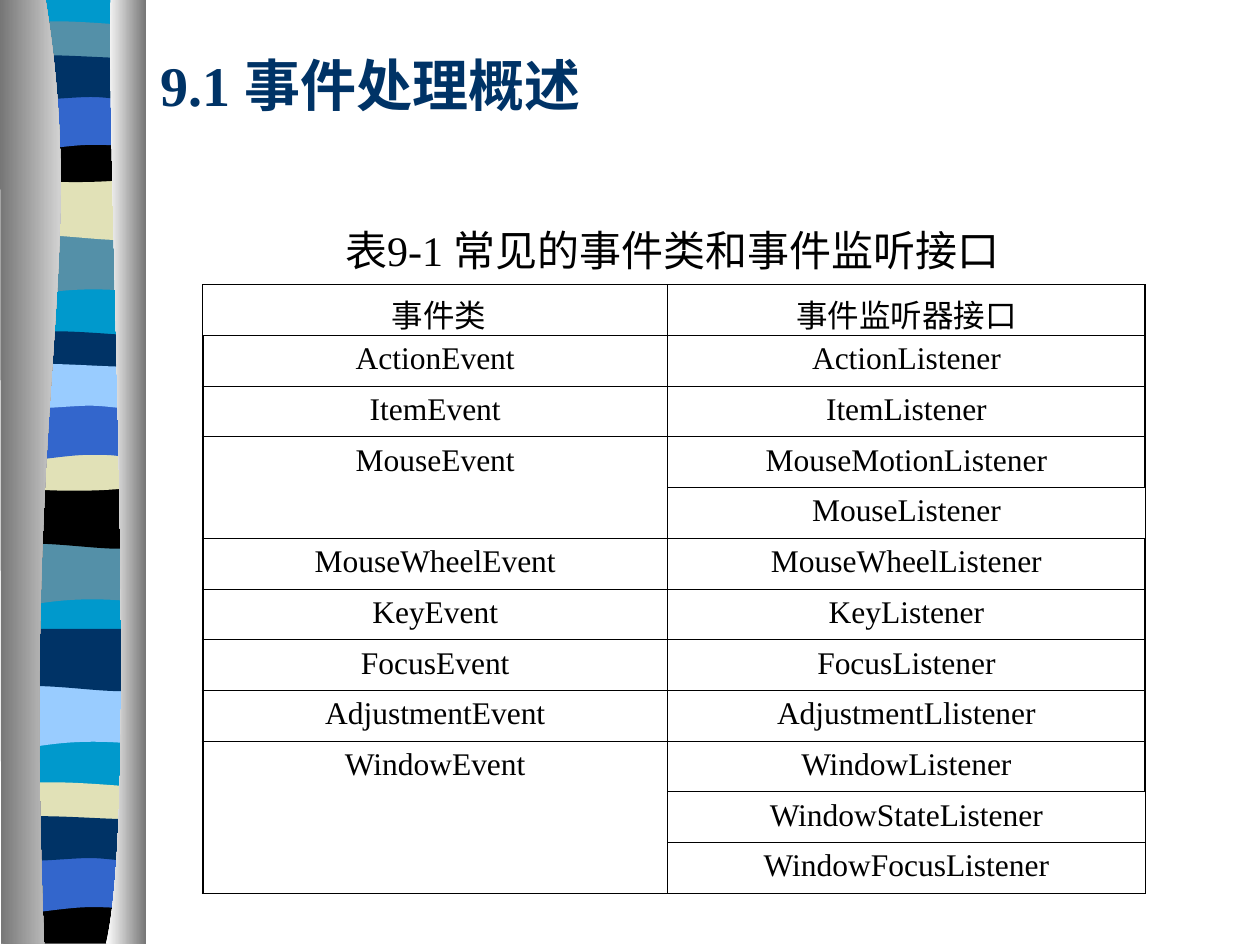
from dataclasses import dataclass

from lxml import etree
from pptx import Presentation
from pptx.dml.color import RGBColor
from pptx.enum.text import MSO_ANCHOR, MSO_AUTO_SIZE, PP_ALIGN
from pptx.oxml.ns import qn
from pptx.util import Inches, Pt

MIDDLE = MSO_ANCHOR.MIDDLE
NO_AUTOFIT = MSO_AUTO_SIZE.NONE
LEFT, CENTER = PP_ALIGN.LEFT, PP_ALIGN.CENTER

FONT = "Times New Roman"
BLACK, NAVY, TEAL, SKY = "000000", "003366", "5490A8", "0099CC"
BLUE, PALE, SAND = "3366CC", "99CCFF", "E1E1B7"
GREY, WHITE = "767676", "FFFFFF"
THIN, THICK = 0.45, 1.47

# Band outlines: a pair is a line end, six numbers are a Bezier segment.
# Each starts at the top right corner (BAND_W, 0).
BAND_W = 1.08
BOWL_TOP = [(0, 0), (0.66, 0.05, 0.85, 0, BAND_W, 0)]
WAVE = [(BAND_W, 0.47), (0.33, 0.39, 0.18, 0.55, 0, 0.47), (0, 0)]
SWELL = [(BAND_W, 0.47), (0.9, 0.55, 0.33, 0.41, 0, 0.47), (0, 0)]
LENS = [(BAND_W, 0.24), (0.9, 0.28, 0.18, 0.28, 0, 0.24), (0, 0),
        (0.06, -0.05, 0.23, -0.04, 0.41, -0.04),
        (0.59, -0.04, 0.94, -0.01, BAND_W, 0)]
BOWL = [(BAND_W, 0.32), (0.9, 0.38, 0.18, 0.38, 0, 0.32)] + BOWL_TOP
FOOT = [(BAND_W, 0.37), (0, 0.37)] + BOWL_TOP
ARCH = [(BAND_W, 0.47), (0.91, 0.41, 0.84, 0.41, 0.66, 0.41),
        (0.48, 0.41, 0.16, 0.47, 0, 0.47), (0, 0)]
RIPPLE = [(BAND_W, 0.31), (1.01, 0.36, 0.84, 0.31, 0.66, 0.31),
          (0.48, 0.31, 0.11, 0.36, 0, 0.31), (0, 0),
          (0.15, -0.05, 0.73, 0, 0.91, 0), (1.09, 0, 1.04, 0, BAND_W, 0)]
BACKDROP = [(BAND_W, 7.48), (0, 7.48), (0, 0)]


@dataclass
class Band:
    left: float
    top: float
    outline: list
    color: str


@dataclass
class EventRow:
    event: str
    listeners: list


BANDS = [
    Band(0.06, -0.01, BACKDROP, SKY),
    Band(0.06, 1.85, WAVE, TEAL), Band(0.06, 1.41, SWELL, SAND),
    Band(0.06, 0.21, LENS, TEAL), Band(0.06, 1.08, BOWL, BLACK),
    Band(0.06, 0.74, ARCH, BLUE), Band(0.06, 0.46, RIPPLE, NAVY),
    Band(0.05, 4.31, WAVE, TEAL), Band(0.05, 3.86, SWELL, BLACK),
    Band(0.05, 2.67, LENS, NAVY), Band(0.05, 3.53, BOWL, SAND),
    Band(0.05, 3.2, ARCH, BLUE), Band(0.05, 2.91, RIPPLE, PALE),
    Band(0.06, 5.44, WAVE, PALE), Band(0.06, 4.99, SWELL, NAVY),
    Band(0.05, 6.25, LENS, SAND), Band(0.05, 7.12, FOOT, BLACK),
    Band(0.05, 6.79, ARCH, BLUE), Band(0.05, 6.5, RIPPLE, NAVY),
]

EVENT_ROWS = [
    EventRow(" 事件类", ["事件监听器接口"]),
    EventRow("ActionEvent", ["ActionListener"]),
    EventRow("ItemEvent", ["ItemListener"]),
    EventRow("MouseEvent", ["MouseMotionListener", "MouseListener"]),
    EventRow("MouseWheelEvent", ["MouseWheelListener"]),
    EventRow("KeyEvent", ["KeyListener"]),
    EventRow("FocusEvent", ["FocusListener"]),
    EventRow("AdjustmentEvent", ["AdjustmentLlistener"]),
    EventRow("WindowEvent", ["WindowListener", "WindowStateListener",
                             "WindowFocusListener"]),
]


def rgb(color: str) -> RGBColor:
    return RGBColor.from_string(color)


def bend_segments(shape, segments: list) -> None:
    """Join the three line ends of every Bezier segment into one curve."""
    line_ends = iter(list(shape._element.iter(qn("a:lnTo"))))
    for segment in segments:
        ends = [next(line_ends) for _ in range(len(segment) // 2)]
        if len(ends) == 3:
            curve = etree.Element(qn("a:cubicBezTo"))
            ends[0].addprevious(curve)
            for end in ends:
                curve.append(end[0])
                end.getparent().remove(end)


def draw_outline(slide, start: tuple, segments: list, left: float = 0, top: float = 0):
    """Draw a closed outline and place it on the slide master."""
    points = [start] + [segment[i:i + 2] for segment in segments
                        for i in range(0, len(segment), 2)]
    placed = [(Inches(left + x), Inches(top + y)) for x, y in points]
    builder = slide.shapes.build_freeform(*placed[0])
    builder.add_line_segments(placed[1:], close=True)
    shape = builder.convert_to_shape()
    bend_segments(shape, segments)
    shape.shadow.inherit = False
    shape.line.fill.background()
    master = slide.slide_layout.slide_master
    master.shapes._spTree.append(shape._element)
    return shape


def draw_band(slide, band: Band) -> None:
    shape = draw_outline(slide, (BAND_W, 0), band.outline, band.left, band.top)
    shape.fill.solid()
    shape.fill.fore_color.rgb = rgb(band.color)


def draw_curtain(slide, start: tuple, segments: list, colors: tuple) -> None:
    fill = draw_outline(slide, start, segments).fill
    fill.gradient()
    fill.gradient_angle = 0
    for stop, position, color in zip(fill.gradient_stops, (0, 1), colors):
        stop.position = position
        stop.color.rgb = rgb(color)


def set_text(frame, text: str, size: float, color: str, align, bold: bool = False) -> None:
    frame.text = text
    paragraph = frame.paragraphs[0]
    paragraph.alignment = align
    font = paragraph.runs[0].font
    font.name, font.size, font.bold = FONT, Pt(size), bold
    font.color.rgb = rgb(color)


def style_cell(cell, left: float, right: float) -> None:
    cell.fill.background()
    properties = cell._tc.get_or_add_tcPr()
    widths = {"a:lnL": left, "a:lnR": right, "a:lnT": THIN, "a:lnB": THIN}
    for index, (tag, width) in enumerate(widths.items()):
        line = etree.Element(qn(tag), w=str(Pt(width)))
        solid = etree.SubElement(line, qn("a:solidFill"))
        etree.SubElement(solid, qn("a:srgbClr"), val=BLACK)
        properties.insert(index, line)


def draw_event_table(slide, rows: list) -> None:
    row_count = sum(len(row.listeners) for row in rows)
    frame = slide.shapes.add_table(row_count, 2, Inches(1.61), Inches(2.26),
                                   Inches(7.48), Inches(4.83))
    table = frame.table
    table.first_row = table.horz_banding = False
    table.columns[0].width, table.columns[1].width = Inches(3.69), Inches(3.79)
    line = 0
    for row in rows:
        event_cell = table.cell(line, 0)
        set_text(event_cell.text_frame, row.event, 18, BLACK, CENTER)
        if len(row.listeners) > 1:
            event_cell.merge(table.cell(line + len(row.listeners) - 1, 0))
        for offset, listener in enumerate(row.listeners):
            listener_cell = table.cell(line, 1)
            set_text(listener_cell.text_frame, listener, 18, BLACK, CENTER)
            style_cell(table.cell(line, 0), THICK if line else THIN, THIN)
            style_cell(listener_cell, THIN, THIN if offset else THICK)
            line += 1


def main() -> None:
    deck = Presentation()
    deck.slide_width, deck.slide_height = Inches(10), Inches(7.5)
    slide = deck.slides.add_slide(deck.slide_layouts[5])

    # Striped ribbon between two shaded curtains
    for band in BANDS:
        draw_band(slide, band)
    draw_curtain(slide, (0.36, -0.01), [(0.71, 2.16, 0.17, 2.96, 0.35, 7.49),
                                        (0.01, 7.49), (0, -0.01)], (GREY, WHITE))
    draw_curtain(slide, (0.88, -0.01), [(0.84, 1.25, 1.11, 6.46, 0.84, 7.49),
                                        (1.16, 7.49), (1.16, 0)], (WHITE, GREY))

    # Title
    title = slide.shapes.title
    title.left, title.top = Inches(1.17), Inches(0.33)
    title.width, title.height = Inches(8.5), Inches(0.67)
    title.text_frame.auto_size = NO_AUTOFIT
    title.text_frame.vertical_anchor = MIDDLE
    set_text(title.text_frame, "9.1 事件处理概述", 32, NAVY, LEFT, bold=True)

    # Table caption
    caption = slide.shapes.add_textbox(Inches(2.64), Inches(1.73),
                                       Inches(5.83), Inches(0.5)).text_frame
    caption.word_wrap = True
    caption.vertical_anchor = MIDDLE
    set_text(caption, "表9-1 常见的事件类和事件监听接口", 24, BLACK, LEFT)

    # Event classes and their listeners
    draw_event_table(slide, EVENT_ROWS)
    deck.save("out.pptx")


if __name__ == "__main__":
    main()
